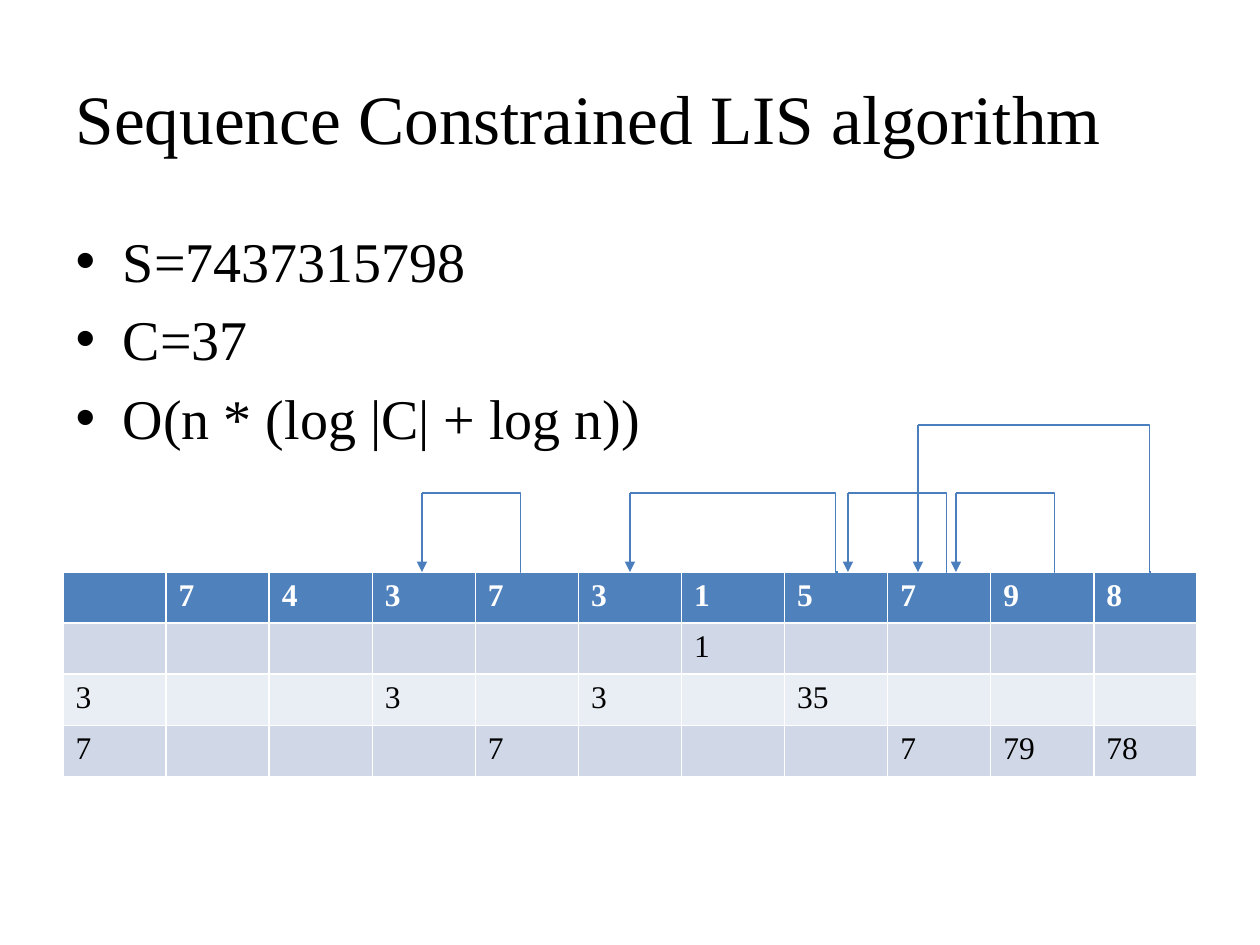
from dataclasses import dataclass

from lxml import etree
from pptx import Presentation
from pptx.dml.color import RGBColor
from pptx.enum.shapes import MSO_CONNECTOR
from pptx.enum.text import MSO_ANCHOR, PP_ALIGN
from pptx.oxml.ns import qn
from pptx.util import Emu, Pt

STRAIGHT, ELBOW = MSO_CONNECTOR.STRAIGHT, MSO_CONNECTOR.ELBOW
LEFT, MIDDLE = PP_ALIGN.LEFT, MSO_ANCHOR.MIDDLE
PX = 914400 // 126


@dataclass(frozen=True)
class Theme:
    font: str = "Times New Roman"
    title_size: float = 39.6
    body_size: float = 32
    cell_size: float = 18
    line_width: float = 0.75
    text: str = "000000"
    header_text: str = "FFFFFF"
    header_fill: str = "4F81BD"
    bands: tuple = ("E9EDF4", "D0D8E8")
    line: str = "4B7EBC"


THEME = Theme()
TITLE = "Sequence Constrained LIS algorithm"
BULLETS = ["S=7437315798", "C=37", "O(n * (log |C| + log n))"]
SEQUENCE = "7437315798"
# One dict per table row: column number to cell text.
ROWS = [
    dict(enumerate(SEQUENCE, start=1)),
    {6: "1"},
    {0: "3", 3: "3", 5: "3", 7: "35"},
    {0: "7", 4: "7", 8: "7", 9: "79", 10: "78"},
]
TABLE_LEFT, TABLE_TOP, TABLE_WIDTH, ROW_HEIGHT = 63, 572, 1134, 51
# Arrow tip x, start x, height of the bar, bend in 1/100000 of the width.
BACK_LINKS = [
    (422, 521, 493, 600),
    (630, 838, 493, 1300),
    (848, 947, 493, 600),
    (956, 1055, 493, 600),
    (918, 1151, 425, 500),
]


def px(value):
    return Emu(value * PX)


def place(shape, left, top, width, height):
    shape.left, shape.top = px(left), px(top)
    shape.width, shape.height = px(width), px(height)


def style_font(font, size, color, bold=False):
    font.name, font.size, font.bold = THEME.font, Pt(size), bold
    font.color.rgb = RGBColor.from_string(color)


def add_line(page, kind, x1, y1, x2, y2):
    line = page.shapes.add_connector(kind, px(x1), px(y1), px(x2), px(y2))
    line.line.color.rgb = RGBColor.from_string(THEME.line)
    line.line.width = Pt(THEME.line_width)
    etree.SubElement(line._element.spPr, qn("a:effectLst"))
    return line


def add_back_link(page, tip, start, bar, bend):
    """Draw a bracket that rises from start, runs left and drops onto tip."""
    bracket = add_line(page, ELBOW, tip, bar, start, TABLE_TOP)
    properties = bracket._element.spPr
    properties.find(qn("a:xfrm")).set("rot", "10800000")
    guides = properties.find(qn("a:prstGeom")).find(qn("a:avLst"))
    etree.SubElement(guides, qn("a:gd"), name="adj1", fmla=f"val {bend}")

    arrow = add_line(page, STRAIGHT, tip, bar, tip, TABLE_TOP)
    outline = arrow._element.spPr.find(qn("a:ln"))
    etree.SubElement(outline, qn("a:tailEnd"), type="triangle")


def add_table(page):
    count = len(SEQUENCE) + 1
    table = page.shapes.add_table(
        len(ROWS), count, px(TABLE_LEFT), px(TABLE_TOP),
        px(TABLE_WIDTH), px(ROW_HEIGHT * len(ROWS))).table
    for number, texts in enumerate(ROWS):
        header = number == 0
        fill = THEME.header_fill if header else THEME.bands[number % 2]
        color = THEME.header_text if header else THEME.text
        for column in range(count):
            cell = table.cell(number, column)
            cell.fill.solid()
            cell.fill.fore_color.rgb = RGBColor.from_string(fill)
            para = cell.text_frame.paragraphs[0]
            para.text = texts.get(column, "")
            for span in para.runs:
                style_font(span.font, THEME.cell_size, color, bold=header)


def main():
    deck = Presentation()
    deck.slide_width, deck.slide_height = px(1260), px(945)
    page = deck.slides.add_slide(deck.slide_layouts[1])

    title, body = page.placeholders
    place(title, 63, 38, 1134, 157)
    title.text_frame.text = TITLE
    title.text_frame.vertical_anchor = MIDDLE
    heading = title.text_frame.paragraphs[0]
    heading.alignment = LEFT
    style_font(heading.runs[0].font, THEME.title_size, THEME.text)

    place(body, 63, 220, 1134, 624)
    body.text_frame.text = "\n".join(BULLETS)
    for para in body.text_frame.paragraphs:
        style_font(para.runs[0].font, THEME.body_size, THEME.text)

    add_table(page)
    for link in BACK_LINKS:
        add_back_link(page, *link)
    deck.save("out.pptx")


if __name__ == "__main__":
    main()
